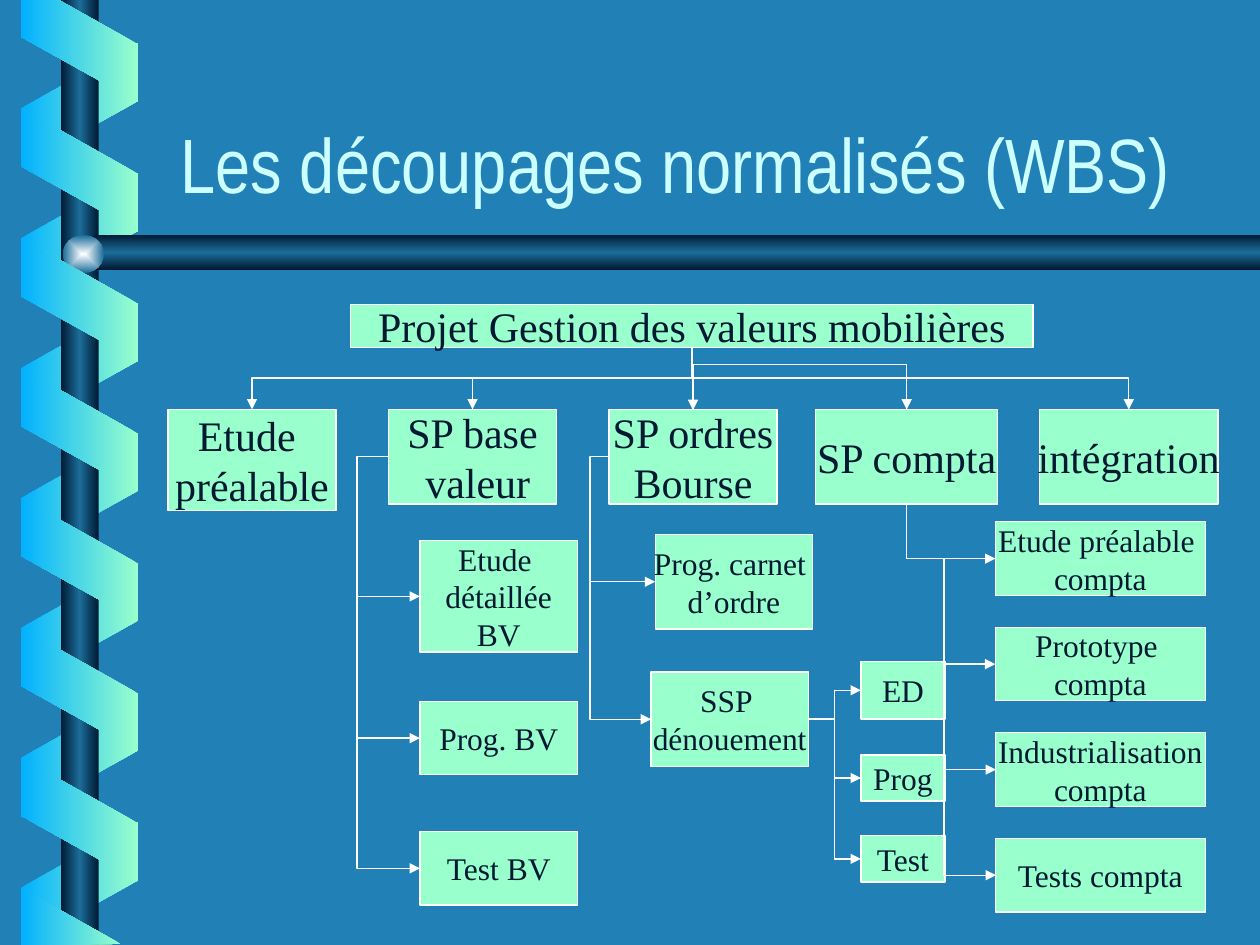
from dataclasses import dataclass
from typing import NamedTuple

from lxml import etree
from pptx import Presentation
from pptx import util as u
from pptx.dml.color import RGBColor
from pptx.enum import shapes, text
from pptx.oxml import ns

COLUMNS, ROWS = 120, 90


@dataclass(frozen=True)
class Theme:
    sky: str = "2181B7"
    title: str = "CCFFFF"
    mint: str = "99FFCC"
    azure: str = "01B0FF"
    night: str = "001932"
    steel: str = "1C6D9A"
    glow: str = "FEFFFF"
    white: str = "FFFFFF"
    title_font: str = "Arial Narrow"
    body_font: str = "Times New Roman"
    title_size: float = 44
    large: float = 24
    small: float = 18
    line: float = 0.75


class Frame(NamedTuple):
    """A box measured in grid columns and rows."""
    x: float
    y: float
    w: float
    h: float

    @property
    def left(self):
        return self.x, self.y + self.h / 2

    @property
    def right(self):
        return self.x + self.w, self.y + self.h / 2

    @property
    def top(self):
        return self.x + self.w / 2, self.y

    @property
    def bottom(self):
        return self.x + self.w / 2, self.y + self.h


def add_xml(parent, tag, **attributes):
    return etree.SubElement(parent, ns.qn(tag), attributes)


class Painter:
    def __init__(self, deck, theme):
        self.theme = theme
        self.cell_w = deck.slide_width / COLUMNS
        self.cell_h = deck.slide_height / ROWS
        self.page = deck.slides.add_slide(deck.slide_layouts[5])
        self.fill(self.page.background, theme.sky)

    def emu(self, x, y):
        return u.Emu(round(x * self.cell_w)), u.Emu(round(y * self.cell_h))

    def fill(self, target, color):
        target.fill.solid()
        target.fill.fore_color.rgb = RGBColor.from_string(color)

    def add_words(self, para, words, font, size, color):
        span = para.add_run()
        span.text = words
        span.font.name, span.font.size = font, u.Pt(size)
        span.font.color.rgb = RGBColor.from_string(color)

    def title(self, words, frame):
        box = self.page.shapes.title
        box.left, box.top = self.emu(*frame[:2])
        box.width, box.height = self.emu(*frame[2:])
        box.text_frame.vertical_anchor = text.MSO_ANCHOR.BOTTOM
        box.text_frame.auto_size = text.MSO_AUTO_SIZE.NONE
        para = box.text_frame.paragraphs[0]
        para.alignment = text.PP_ALIGN.LEFT
        self.add_words(para, words, self.theme.title_font,
                       self.theme.title_size, self.theme.title)

    def shape(self, kind, frame):
        box = self.page.shapes.add_shape(
            kind, *self.emu(*frame[:2]), *self.emu(*frame[2:]))
        box.shadow.inherit = False
        box.line.fill.background()
        return box

    def gradient(self, box, colors, angle=None):
        """Even colour stops, along an angle or out from the centre."""
        box.fill.background()
        empty = box._element.spPr.find(ns.qn("a:noFill"))
        grad = etree.Element(ns.qn("a:gradFill"), rotWithShape="0")
        stops = add_xml(grad, "a:gsLst")
        for i, color in enumerate(colors):
            stop = add_xml(stops, "a:gs", pos=str(100000 * i // (len(colors) - 1)))
            add_xml(stop, "a:srgbClr", val=color)
        if angle is None:
            around = add_xml(grad, "a:path", path="rect")
            add_xml(around, "a:fillToRect", **dict.fromkeys("ltrb", "50000"))
        else:
            add_xml(grad, "a:lin", ang=str(angle * 60000), scaled="0")
        empty.getparent().replace(empty, grad)

    def ribbon(self, y, rotation, flip, colors):
        box = self.shape(shapes.MSO_SHAPE.PARALLELOGRAM, Frame(1.68, y, 11.76, 11.16))
        box.adjustments[0] = 0.56
        box.rotation = rotation
        if flip:
            box._element.spPr.find(ns.qn("a:xfrm")).set("flipH", "1")
        self.gradient(box, colors, 180)

    def outline(self, points, colors, angle):
        points = [self.emu(*point) for point in points]
        builder = self.page.shapes.build_freeform(*points[0])
        builder.add_line_segments(points[1:], close=True)
        box = builder.convert_to_shape()
        box.shadow.inherit = False
        box.line.fill.background()
        self.gradient(box, colors, angle)

    def task(self, lines, size, *place):
        frame = Frame(*place)
        box = self.shape(shapes.MSO_SHAPE.RECTANGLE, frame)
        self.fill(box, self.theme.mint)
        self.fill(box.line, self.theme.white)
        box.line.width = u.Pt(self.theme.line)
        body = box.text_frame
        body.word_wrap = False
        body.vertical_anchor = text.MSO_ANCHOR.MIDDLE
        for i, words in enumerate(lines):
            para = body.add_paragraph() if i else body.paragraphs[0]
            para.alignment = text.PP_ALIGN.CENTER
            self.add_words(para, words, self.theme.body_font, size, self.theme.night)
        return frame

    def arrow(self, start, end, kind=shapes.MSO_CONNECTOR.STRAIGHT, both=False):
        link = self.page.shapes.add_connector(kind, *self.emu(*start), *self.emu(*end))
        self.fill(link.line, self.theme.white)
        link.line.width = u.Pt(self.theme.line)
        stroke = link._element.spPr.find(ns.qn("a:ln"))
        if both:
            add_xml(stroke, "a:headEnd", type="triangle")
        add_xml(stroke, "a:tailEnd", type="triangle")
        add_xml(link._element.spPr, "a:effectLst")
        return link

    def bend(self, link, share):
        preset = link._element.spPr.find(ns.qn("a:prstGeom"))
        values = preset.find(ns.qn("a:avLst"))
        if values is None:
            values = add_xml(preset, "a:avLst")
        add_xml(values, "a:gd", name="adj1", fmla=f"val {round(share * 100000)}")

    def across(self, start, end, x, both=False):
        """Elbow that leaves sideways and turns at column x."""
        link = self.arrow(start, end, shapes.MSO_CONNECTOR.ELBOW, both)
        self.bend(link, (x - start[0]) / (end[0] - start[0]))

    def down(self, start, end, y=None):
        """Elbow that leaves vertically and turns at row y, or only once."""
        link = self.arrow(start, end, shapes.MSO_CONNECTOR.ELBOW)
        (x1, y1), (x2, y2) = start, end
        w, h = y2 - y1, abs(x2 - x1)
        link.left, link.top = self.emu((x1 + x2 - w) / 2, (y1 + y2 - h) / 2)
        link.width, link.height = self.emu(w, h)
        turn = link._element.spPr.find(ns.qn("a:xfrm"))
        turn.set("rot", str((270 if x2 > x1 else 90) * 60000))
        turn.set("flipH", "1" if x2 > x1 else "0")
        if y is None:
            link._element.spPr.find(ns.qn("a:prstGeom")).set("prst", "bentConnector2")
        else:
            self.bend(link, (y - y1) / w)


def decorate(painter, theme):
    metal = [theme.night, theme.steel, theme.night]
    front = [theme.mint, theme.azure]
    pitch = 12.37
    # Back of the ribbon, then pole, rule and ball
    for i in range(7):
        painter.ribbon(4.4 + i * pitch, 90, True, front[::-1])
    pole = painter.shape(shapes.MSO_SHAPE.RECTANGLE, Frame(5.8, 0, 3.6, ROWS))
    painter.gradient(pole, metal, 180)
    painter.outline([(120, 22.35), (9.1, 22.35), (7.2, 24), (9.1, 25.7), (120, 25.7)],
                    metal, 90)
    ball = painter.shape(shapes.MSO_SHAPE.OVAL, Frame(6, 22.4, 3.9, 3.6))
    painter.gradient(ball, [theme.glow, theme.steel])
    # Front of the ribbon, cut at both ends of the page
    for i in range(6):
        painter.ribbon(10.6 + i * pitch, 270, False, front)
    painter.outline([(2, 0), (2, 3.5), (13.1, 9.7), (13.1, 4.2), (5.6, 0)], front, 180)
    painter.outline([(11.5, 89.9), (2, 84.6), (2, 90)], front, 180)


def main():
    deck = Presentation()
    deck.slide_width, deck.slide_height = u.Inches(10), u.Inches(7.5)
    theme = Theme()
    painter = Painter(deck, theme)
    task, large, small = painter.task, theme.large, theme.small
    decorate(painter, theme)
    painter.title("Les découpages normalisés (WBS)", Frame(16, 5.5, 102, 15))

    # Project and its sub-projects
    project = task(["Projet Gestion des valeurs mobilières"], large, 33.4, 29, 65, 4.1)
    study = task(["Etude ", "préalable"], large, 16, 39, 16, 9.6)
    values = task(["SP base", " valeur"], large, 37, 39, 16, 9)
    orders = task(["SP ordres", "Bourse"], large, 58, 39, 16, 9)
    accounts = task(["SP compta"], large, 77.7, 39, 17.3, 9)
    merging = task(["intégration"], large, 99, 39, 17, 9)

    # Tasks of each sub-project
    value_tasks = [task(lines, small, 40, y, 15, h) for lines, y, h in (
        (["Etude ", "détaillée", "BV"], 51.5, 10.6),
        (["Prog. BV"], 66.8, 7), (["Test BV"], 79.2, 7))]
    book = task(["Prog. carnet ", "d’ordre"], small, 62.4, 50.9, 15, 9)
    settling = task(["SSP ", "dénouement"], small, 62, 64, 15, 9)
    settling_tasks = [task([word], small, 82, y, 8, h) for word, y, h in (
        ("ED", 63, 5.5), ("Prog", 71.9, 4.4), ("Test", 79.6, 4.4))]
    account_tasks = [task(lines, small, 94.8, 49.7 + 10.05 * i, 20, 7)
                     for i, lines in enumerate((
                         ["Etude préalable ", "compta"], ["Prototype ", "compta"],
                         ["Industrialisation", "compta"], ["Tests compta"]))]

    # Links from the project
    for part in (study, merging, values, accounts):
        painter.down(project.bottom, part.top, 36)
    x, y = orders.top
    painter.down(accounts.top, (x, y + 0.05), 34.9)

    # Links to the tasks
    trunk = 34
    painter.across(values.left, value_tasks[2].left, trunk)
    for item in value_tasks[:2]:
        painter.arrow((trunk, item.left[1]), item.left)
    for item in (book, settling):
        painter.across(orders.left, item.left, 56.2)
    for item in settling_tasks:
        painter.across(settling.right, item.left, 79.5)
    painter.down(accounts.bottom, account_tasks[0].left)
    for first, last, both in ((0, 3, False), (1, 2, True)):
        x, y = account_tasks[last].left
        painter.across(account_tasks[first].left, (x + 0.05, y), 90.1, both)

    deck.save("out.pptx")


if __name__ == "__main__":
    main()
